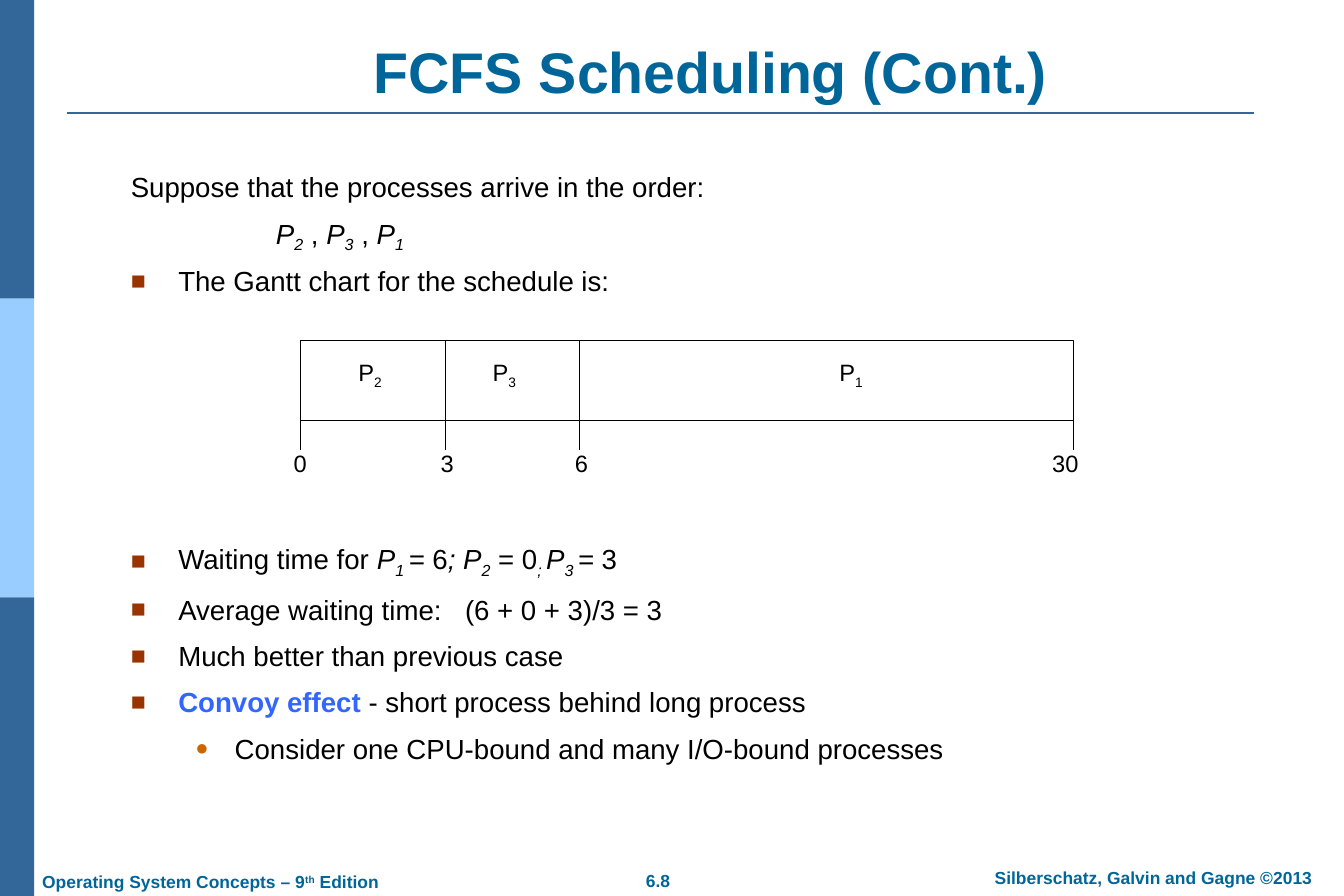
"""Build the FCFS scheduling slide with its Gantt chart."""
import dataclasses

import pptx
import pptx.dml.color
import pptx.enum.shapes
import pptx.enum.text
import pptx.oxml.ns
import pptx.util
from lxml import etree

Inches = pptx.util.Inches
Pt = pptx.util.Pt
ALIGN = pptx.enum.text.PP_ALIGN
ANCHOR = pptx.enum.text.MSO_ANCHOR


@dataclasses.dataclass(frozen=True)
class Theme:
    font: str = "Arial"
    navy: str = "336699"
    sky: str = "99CCFF"
    teal: str = "006699"
    blue: str = "3366FF"
    rust: str = "993300"
    amber: str = "CC6600"
    black: str = "000000"
    white: str = "FFFFFF"
    title: float = 46
    body: float = 22.2
    label: float = 19
    foot: float = 14


THEME = Theme()
HEAD = dict(size=THEME.title, color=THEME.teal, bold=True)
BODY = dict(size=THEME.body, color=THEME.black)
LABEL = dict(size=THEME.label, color=THEME.black)
FOOT = dict(size=THEME.foot, color=THEME.teal, bold=True)

ITALIC = dict(italic=True)
SUB = dict(base=-25)
LOW = dict(italic=True, base=-25)
SUPER = dict(base=30)
TERM = dict(color=THEME.blue, bold=True)

PLAIN = dict(left=0, hang=0, gap=10.5)
ORDER = dict(left=1.62, hang=0, gap=10.5)
SQUARE = dict(left=0.53, hang=0.53, gap=10.5, mark="■", tint=THEME.rust, scale=90)
CHART = dict(SQUARE, gap=7.9)
TABBED = dict(SQUARE, tab=3.73)
ROUND = dict(left=1.16, hang=0.44, gap=10.5, mark="●", tint=THEME.amber, scale=80)

INTRO = [
    (PLAIN, [("Suppose that the processes arrive in the order:", {})]),
    (ORDER, [("P", ITALIC), ("2", LOW), (" , ", {}), ("P", ITALIC), ("3", LOW),
             (" , ", {}), ("P", ITALIC), ("1", LOW)]),
    (CHART, [("The Gantt chart for the schedule is:", {})]),
]
NOTES = [
    (SQUARE, [("Waiting time for ", {}), ("P", ITALIC), ("1 ", LOW), ("=", ITALIC),
              (" 6", {}), ("; P", ITALIC), ("2", LOW), (" = 0", {}), ("; ", LOW),
              ("P", ITALIC), ("3 ", LOW), ("= ", ITALIC), ("3", {})]),
    (TABBED, [("Average waiting time:\t(6 + 0 + 3)/3 = 3", {})]),
    (SQUARE, [("Much better than previous case", {})]),
    (SQUARE, [("Convoy effect ", TERM), ("- short process behind long process", {})]),
    (ROUND, [("Consider one CPU-bound and many I/O-bound processes", {})]),
]


def rgb(code):
    return pptx.dml.color.RGBColor.from_string(code)


def add_run(para, text, size, color, base=0, **marks):
    run = para.add_run()
    run.text = text
    form = dict(name=THEME.font, size=Pt(size), **marks)
    for key, value in form.items():
        setattr(run.font, key, value)
    run.font.color.rgb = rgb(color)
    if base:
        run.font._element.set("baseline", str(base * 1000))


def add_node(props, tag, **attrs):
    return etree.SubElement(props, pptx.oxml.ns.qn(tag), attrs)


def set_list(para, left, hang, mark=None, tint=None, scale=100, tab=None):
    props = para._p.get_or_add_pPr()
    props.set("marL", str(Inches(left)))
    props.set("indent", str(-Inches(hang)))
    if mark:
        add_node(add_node(props, "a:buClr"), "a:srgbClr", val=tint)
        add_node(props, "a:buSzPct", val=str(scale * 1000))
        add_node(props, "a:buFont", typeface=THEME.font)
        add_node(props, "a:buChar", char=mark)
    if tab:
        add_node(add_node(props, "a:tabLst"), "a:tab", pos=str(Inches(tab)), algn="l")


def add_box(slide, area, pad=(0.14, 0.07), wrap=True, anchor=ANCHOR.TOP):
    frame = slide.shapes.add_textbox(*map(Inches, area)).text_frame
    side, edge = map(Inches, pad)
    form = dict(margin_left=side, margin_right=side, margin_top=edge,
                margin_bottom=edge, word_wrap=wrap, vertical_anchor=anchor)
    for key, value in form.items():
        setattr(frame, key, value)
    return frame


def add_text(slide, area, runs, style, align=ALIGN.CENTER, **form):
    para = add_box(slide, area, **form).paragraphs[0]
    para.alignment = align
    for text, marks in runs:
        add_run(para, text, **{**style, **marks})


def add_list(slide, area, items):
    frame = add_box(slide, area)
    for index, (kind, runs) in enumerate(items):
        para = frame.add_paragraph() if index else frame.paragraphs[0]
        form = dict(kind)
        gap = form.pop("gap")
        set_list(para, **form)
        if index:
            para.space_before = Pt(gap)
        for text, marks in runs:
            add_run(para, text, **{**BODY, **marks})


def add_rect(slide, area, fill, line=None):
    kind = pptx.enum.shapes.MSO_SHAPE.RECTANGLE
    rect = slide.shapes.add_shape(kind, *map(Inches, area))
    rect.shadow.inherit = False
    rect.fill.solid()
    rect.fill.fore_color.rgb = rgb(fill)
    if line:
        rect.line.color.rgb = rgb(line)
        rect.line.width = Pt(0.75)
    else:
        rect.line.fill.background()


def add_line(slide, ends, color, width):
    kind = pptx.enum.shapes.MSO_CONNECTOR.STRAIGHT
    line = slide.shapes.add_connector(kind, *map(Inches, ends))
    line.line.color.rgb = rgb(color)
    line.line.width = Pt(width)
    add_node(line._element.spPr, "a:effectLst")


def add_frame(slide):
    band = 10 / 3
    for index, fill in enumerate((THEME.navy, THEME.sky, THEME.navy)):
        add_rect(slide, (0, index * band, 0.38, band), fill)
    add_line(slide, (0.75, 1.26, 14, 1.26), THEME.navy, 1.5)
    add_text(slide, (0.33, 9.65, 4.05, 0.38),
             [("Operating System Concepts – 9", {}), ("th", SUPER), (" Edition", {})],
             FOOT, align=ALIGN.LEFT, wrap=False)
    add_text(slide, (6.65, 9.64, 1.39, 0.38), [("6.8", {})], FOOT, wrap=False)
    add_text(slide, (10.65, 9.61, 4.45, 0.38),
             [("Silberschatz, Galvin and Gagne ©2013", {})], FOOT)


def add_gantt(slide):
    top, base, foot = 3.8, 4.69, 5.02
    edges = (3.35, 4.97, 6.47, 11.98)
    form = dict(pad=(0.1, 0.05), wrap=False, anchor=ANCHOR.MIDDLE)
    add_rect(slide, (edges[0], top, edges[-1] - edges[0], base - top),
             THEME.white, THEME.black)
    for edge in edges:
        start = top if edge in edges[1:-1] else base
        add_line(slide, (edge, start, edge, foot), THEME.black, 0.75)
    for name, mid in (("2", 4.13), ("3", 5.63), ("1", 9.5)):
        add_text(slide, (mid - 0.23, 3.94, 0.46, 0.46),
                 [("P", {}), (name, SUB)], LABEL, **form)
    for time, mid in (("0", 3.35), ("3", 4.99), ("6", 6.49), ("30", 11.89)):
        add_text(slide, (mid - 0.25, 4.96, 0.5, 0.42), [(time, {})], LABEL, **form)


def main():
    deck = pptx.Presentation()
    deck.slide_width, deck.slide_height = Inches(15), Inches(10)
    slide = deck.slides.add_slide(deck.slide_layouts[6])
    add_frame(slide)
    add_text(slide, (1.61, 0.4, 12.64, 0.84), [("FCFS Scheduling (Cont.)", {})],
             HEAD, anchor=ANCHOR.BOTTOM)
    add_list(slide, (1.32, 1.83, 13.5, 1.6), INTRO)
    add_gantt(slide)
    add_list(slide, (1.32, 5.98, 13.5, 2.7), NOTES)
    deck.save("out.pptx")


if __name__ == "__main__":
    main()
